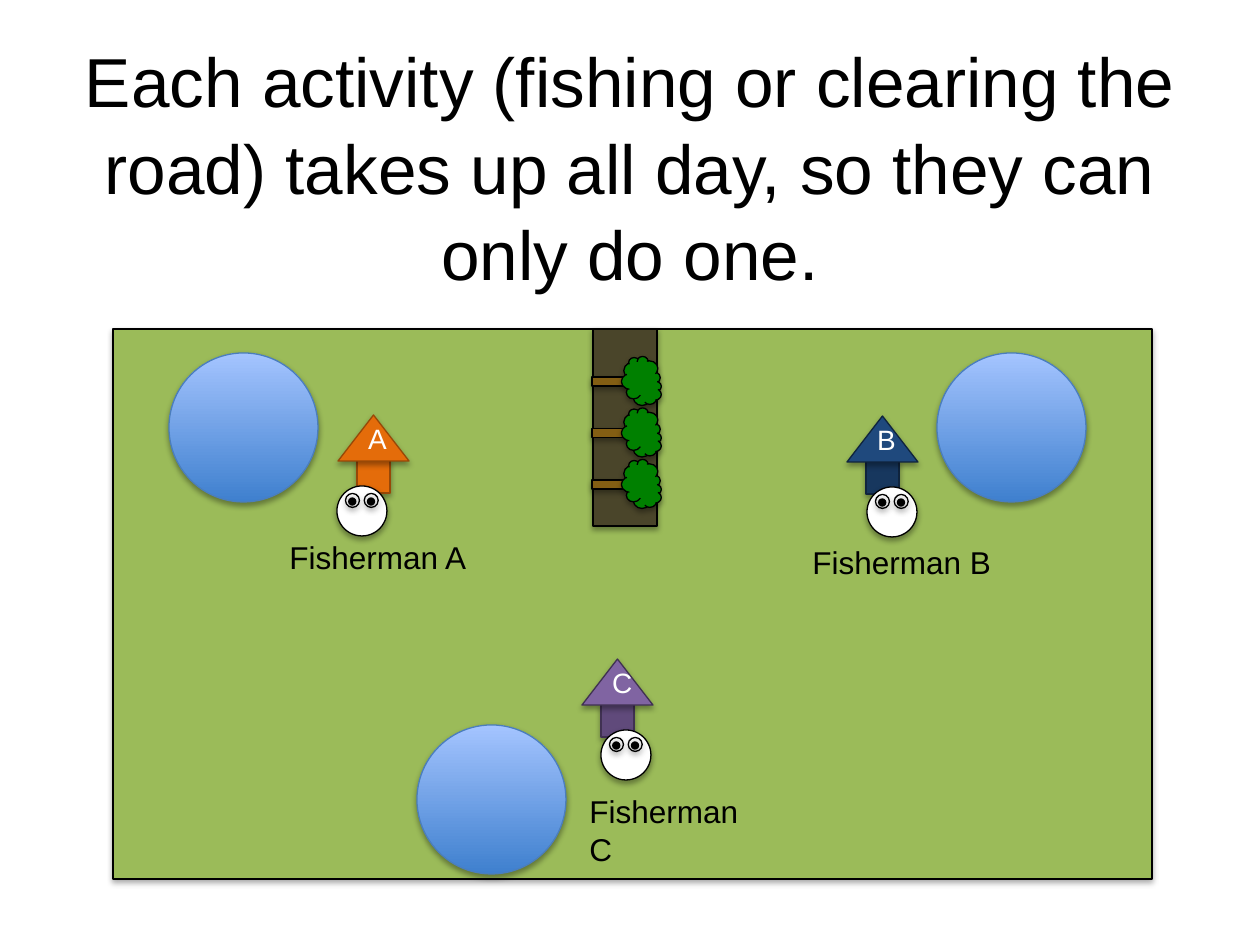
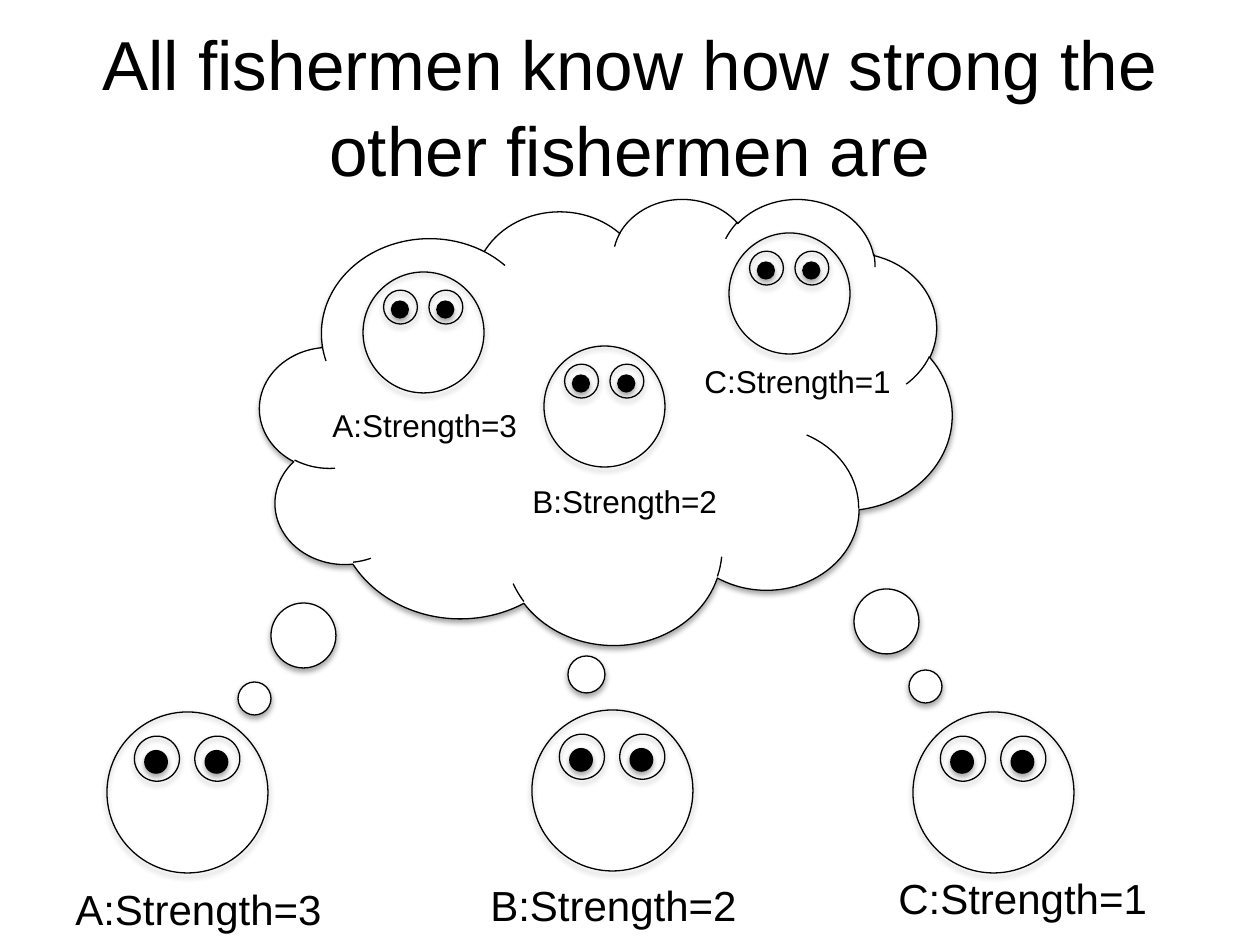
"""Build two slides about three fishermen, their ponds and their strengths."""
import pptx
import pptx.util
import pptx.dml.color
import pptx.enum.shapes
import pptx.enum.text
import pptx.oxml
import pptx.oxml.ns

SCALE = 914400 / 126
INK = "000000"
WHITE = "FFFFFF"
FONT = "Arial"
SHADE = (
    '<a:outerShdw %s blurRad="40000" dist="23000" dir="5400000" rotWithShape="0">'
    '<a:srgbClr val="000000"><a:alpha val="35000"/></a:srgbClr></a:outerShdw>'
    % pptx.oxml.ns.nsdecls("a")
)
rgb = pptx.dml.color.RGBColor.from_string
KIND = pptx.enum.shapes.MSO_SHAPE
ALIGN = pptx.enum.text.PP_ALIGN
ANCHOR = pptx.enum.text.MSO_ANCHOR
FIT = pptx.enum.text.MSO_AUTO_SIZE


def draw(shapes, kind, box, fill=None, line=INK):
    """Add a shadowed shape at a pixel box."""
    shape = shapes.add_shape(kind, *[round(v * SCALE) for v in box])
    if fill:
        shape.fill.solid()
        shape.fill.fore_color.rgb = rgb(fill)
    else:
        shape.fill.background()
    shape.line.color.rgb = rgb(line)
    shape.line.width = pptx.util.Pt(0.75)
    shape.shadow.inherit = False
    effect = shape._element.spPr.find(pptx.oxml.ns.qn("a:effectLst"))
    effect.append(pptx.oxml.parse_xml(SHADE))
    return shape


def face(slide, x, y, size, fill=None):
    """Add a round head with two eyes, sized by its width."""
    shapes = slide.shapes.add_group_shape().shapes
    draw(shapes, KIND.OVAL, (x, y, size, size), fill)
    for dx, dy, part, tint in ((0.17, 0.15, 0.28, None), (0.235, 0.24, 0.14, INK)):
        for gap in (0, 0.375):
            box = (x + (dx + gap) * size, y + dy * size, part * size, part * size)
            draw(shapes, KIND.OVAL, box, tint)


deck = pptx.Presentation()
deck.slide_width = pptx.util.Inches(10)
deck.slide_height = pptx.util.Inches(7.5)

heads = (
    ("Each activity (fishing or clearing the road) takes up all day, "
     "so they can only do one.", 86),
    ("All fishermen know how strong the other fishermen are", 25),
)
for text, top in heads:
    title = deck.slides.add_slide(deck.slide_layouts[5]).shapes.title
    title.left, title.top, title.width, title.height = [
        round(v * SCALE) for v in (63, top, 1134, 158)]
    frame = title.text_frame
    frame.text = text
    frame.word_wrap = True
    frame.auto_size = FIT.NONE
    frame.vertical_anchor = ANCHOR.MIDDLE
    para = frame.paragraphs[0]
    para.alignment = ALIGN.CENTER
    para.line_spacing = 1.04
    font = para.runs[0].font
    font.name, font.size = FONT, pptx.util.Pt(39.6)
    font.color.rgb = rgb(INK)
day, mind = deck.slides

draw(day.shapes, KIND.RECTANGLE, (113, 329, 1039, 550), "9BBB59")
for x, y in ((169, 353), (417, 725), (937, 353)):
    pond = draw(day.shapes, KIND.OVAL, (x, y, 149, 149), WHITE, "4B7EBC")
    pond.fill.gradient()
    pond.fill.gradient_angle = 90
    for stop, tint in zip(pond.fill.gradient_stops, ("3F80CE", "A4C4FF")):
        stop.color.rgb = rgb(tint)

draw(day.shapes, KIND.RECTANGLE, (593, 329, 64, 197), "4A452A")
for row in range(3):
    y = 362 + 51.5 * row
    tree = day.shapes.add_group_shape().shapes
    draw(tree, KIND.RECTANGLE, (592, y + 15, 47, 9), "835E13")
    crown = draw(tree, KIND.CLOUD, (617, y - 1, 49, 40), "008000")
    crown.rotation = 90

houses = (
    ("A", 338, 415, -1, "E46C0A", "E46C0A", "984807"),
    ("B", 847, 416, 20, "1F497D", "17375E", "0F243E"),
    ("C", 582, 659, 19, "8064A2", "604A7B", "403152"),
)
for name, x, y, shift, roof, wall, edge in houses:
    draw(day.shapes, KIND.RECTANGLE, (x + 19, y + 45, 33, 33), wall, edge)
    face(day, x + shift, y + 71, 50, WHITE)
    top = draw(day.shapes, KIND.ISOSCELES_TRIANGLE, (x, y, 71, 46), roof, edge)
    top.text_frame.text = name
    top.text_frame.vertical_anchor = ANCHOR.BOTTOM
    para = top.text_frame.paragraphs[0]
    para.alignment = ALIGN.CENTER
    font = para.runs[0].font
    font.name, font.size = FONT, pptx.util.Pt(16)
    font.color.rgb = rgb(WHITE)

for x, y in ((532, 710), (107, 712), (913, 712)):
    face(mind, x, y, 161)
draw(mind.shapes, KIND.CLOUD, (260, 198, 692, 446), WHITE)
bubbles = ((271, 603, 65), (568, 656, 37), (854, 589, 65), (238, 682, 33), (909, 670, 33))
for x, y, size in bubbles:
    draw(mind.shapes, KIND.OVAL, (x, y, size, size), WHITE)
for x, y in ((363, 272), (544, 346), (729, 233)):
    face(mind, x, y, 121)

labels = (
    (day, "Fisherman A", 277, 532, 203, 18),
    (day, "Fisherman B", 800, 537, 204, 18),
    (day, "Fisherman C", 577, 786, 205, 18),
    (mind, "A:Strength=3", 320, 400, 213, 18),
    (mind, "B:Strength=2", 520, 476, 214, 18),
    (mind, "C:Strength=1", 692, 356, 215, 18),
    (mind, "A:Strength=3", 63, 877, 275, 24),
    (mind, "B:Strength=2", 478, 873, 277, 24),
    (mind, "C:Strength=1", 886, 866, 278, 24),
)
for slide, text, x, y, width, size in labels:
    box = (x, y, width, 50 if size == 18 else 63)
    frame = slide.shapes.add_textbox(*[round(v * SCALE) for v in box]).text_frame
    frame.text = text
    frame.word_wrap = False
    frame.auto_size = FIT.SHAPE_TO_FIT_TEXT
    font = frame.paragraphs[0].runs[0].font
    font.name, font.size = FONT, pptx.util.Pt(size)
    font.color.rgb = rgb(INK)

deck.save("out.pptx")
